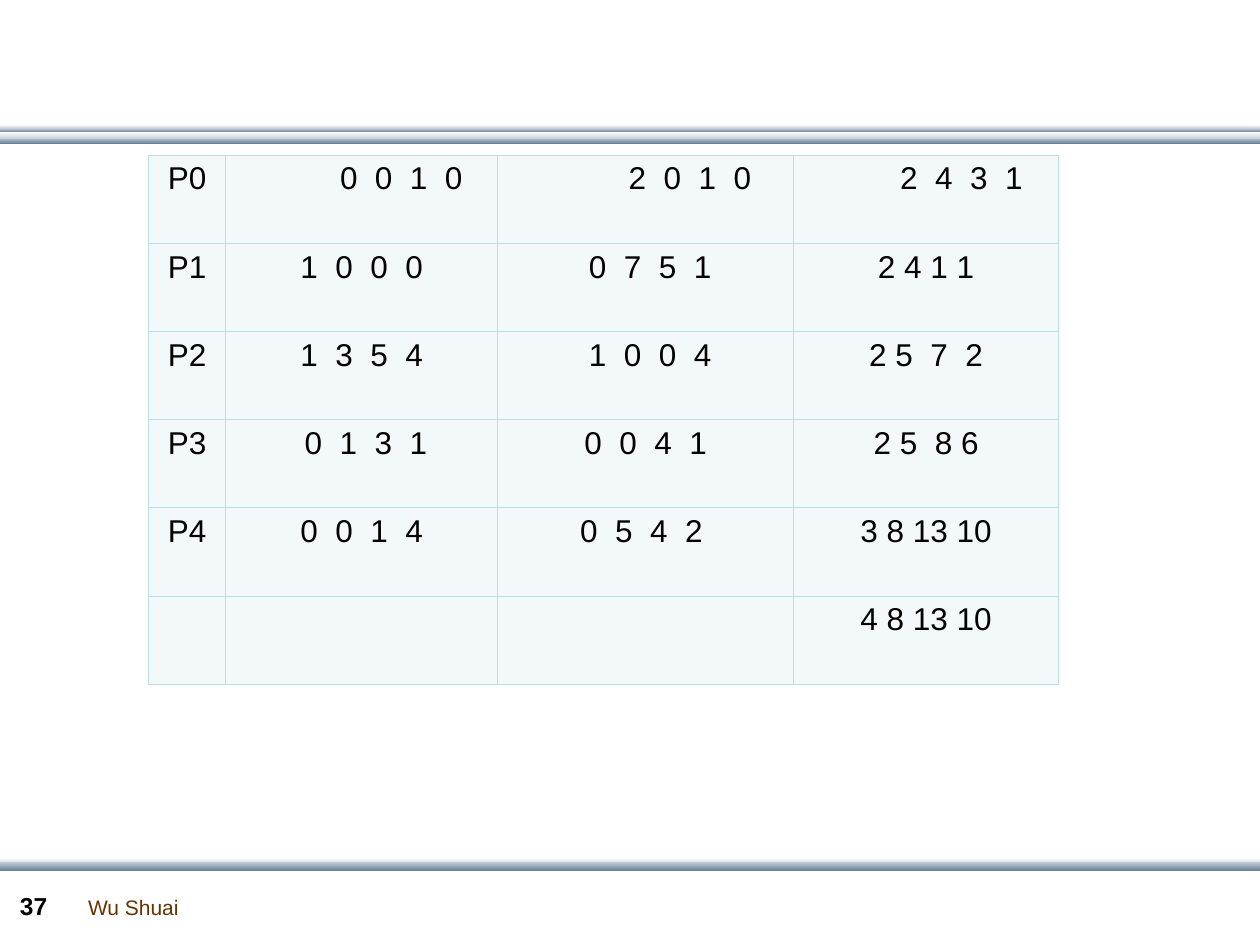
from lxml.etree import SubElement
from pptx import Presentation
from pptx.dml.color import RGBColor
from pptx.enum.shapes import MSO_SHAPE
from pptx.enum.text import PP_ALIGN
from pptx.oxml.ns import qn
from pptx.util import Inches, Pt

COLORS = {
    "white": "FFFFFF",
    "mist": "C8D1DA",
    "steel": "6A839C",
    "black": "000000",
    "brown": "663300",
    "cell": "F3F9FA",
    "border": "BBE0E3",
}
FONT = "Arial"
GRID = 0.1  # inches: the slide has 100 columns and 75 rows
SPACE_WIDTH = 0.07  # inches: one space at the table's text size


def color(name):
    return RGBColor.from_string(COLORS[name])


def grid(count):
    return Inches(count * GRID)


class SlideBuilder:
    def __init__(self, slide):
        self.slide = slide

    def format_text(self, paragraph, size, color_name, bold=False):
        for run in paragraph.runs:
            run.font.name = FONT
            run.font.size = Pt(size)
            run.font.bold = bold
            run.font.color.rgb = color(color_name)

    def bar(self, top, height, start, end):
        shape = self.slide.shapes.add_shape(
            MSO_SHAPE.RECTANGLE, 0, grid(top), grid(100), grid(height))
        shape.shadow.inherit = False
        shape.line.fill.background()
        shape.fill.gradient()
        shape.fill.gradient_angle = 270
        for stop, name in zip(shape.fill.gradient_stops, (start, end)):
            stop.color.rgb = color(name)

    def label(self, text, left, top, width, height, size, color_name,
              bold=False, wrap=False):
        box = self.slide.shapes.add_textbox(
            grid(left), grid(top), grid(width), grid(height))
        box.text_frame.word_wrap = wrap
        box.text_frame.text = text
        self.format_text(box.text_frame.paragraphs[0], size, color_name, bold)

    def border(self, cell):
        properties = cell._tc.get_or_add_tcPr()
        for position, side in enumerate(("lnL", "lnR", "lnT", "lnB")):
            line = properties.makeelement(qn(f"a:{side}"), {"w": str(Pt(0.45))})
            fill = SubElement(line, qn("a:solidFill"))
            SubElement(fill, qn("a:srgbClr"), val=COLORS["border"])
            properties.insert(position, line)

    def table(self, rows, shifts, left, top, widths, row_height):
        """Shifts hold extra margins in spaces: left if positive, else right."""
        table = self.slide.shapes.add_table(
            len(rows), len(widths), grid(left), grid(top),
            grid(sum(widths)), grid(row_height * len(rows))).table
        table.first_row = table.horz_banding = False
        for column, width in zip(table.columns, widths):
            column.width = grid(width)
        for row_index, texts in enumerate(rows):
            table.rows[row_index].height = grid(row_height)
            for column_index, text in enumerate(texts):
                cell = table.cell(row_index, column_index)
                cell.fill.solid()
                cell.fill.fore_color.rgb = color("cell")
                self.border(cell)
                shift = shifts.get((row_index, column_index), 0) * SPACE_WIDTH
                cell.margin_left = Inches(0.1 + max(shift, 0))
                cell.margin_right = Inches(0.1 + max(-shift, 0))
                if text:
                    cell.text_frame.text = text
                    paragraph = cell.text_frame.paragraphs[0]
                    paragraph.alignment = PP_ALIGN.CENTER
                    self.format_text(paragraph, 18, "black")


def main():
    presentation = Presentation()
    presentation.slide_width = grid(100)
    presentation.slide_height = grid(75)
    slide = presentation.slides.add_slide(presentation.slide_layouts[6])
    builder = SlideBuilder(slide)

    # Header and footer bars
    for top, height, start, end in (
        (10.9, 0.5, "mist", "steel"),
        (10.2, 0.3, "mist", "steel"),
        (10.5, 0.5, "white", "mist"),
        (9.9, 0.3, "white", "mist"),
        (68.1, 0.5, "white", "mist"),
        (68.4, 0.7, "mist", "steel"),
    ):
        builder.bar(top, height, start, end)

    # Footer: author and slide number
    builder.label("Wu Shuai", 6, 70.5, 9.2, 3, 12, "brown")
    builder.label("37", 0.6, 70.2, 5.5, 3.4, 14, "black", bold=True, wrap=True)

    # Process table
    processes = [
        ("P0", "0  0  1  0", "2  0  1  0", "2  4  3  1"),
        ("P1", "1  0  0  0", "0  7  5  1", "2 4 1 1"),
        ("P2", "1  3  5  4", "1  0  0  4", "2 5  7  2"),
        ("P3", "0  1  3  1", "0  0  4  1", "2 5  8 6"),
        ("P4", "0  0  1  4", "0  5  4  2", "3 8 13 10"),
        ("", "", "", "4 8 13 10"),
    ]
    shifts = {(0, 1): 9, (0, 2): 10, (0, 3): 8,
              (1, 2): 1, (2, 2): 1, (3, 1): 1, (4, 2): -1}
    builder.table(processes, shifts, 11.8, 12.3, (6.1, 21.6, 23.5, 21), 7)

    presentation.save("out.pptx")


if __name__ == "__main__":
    main()
